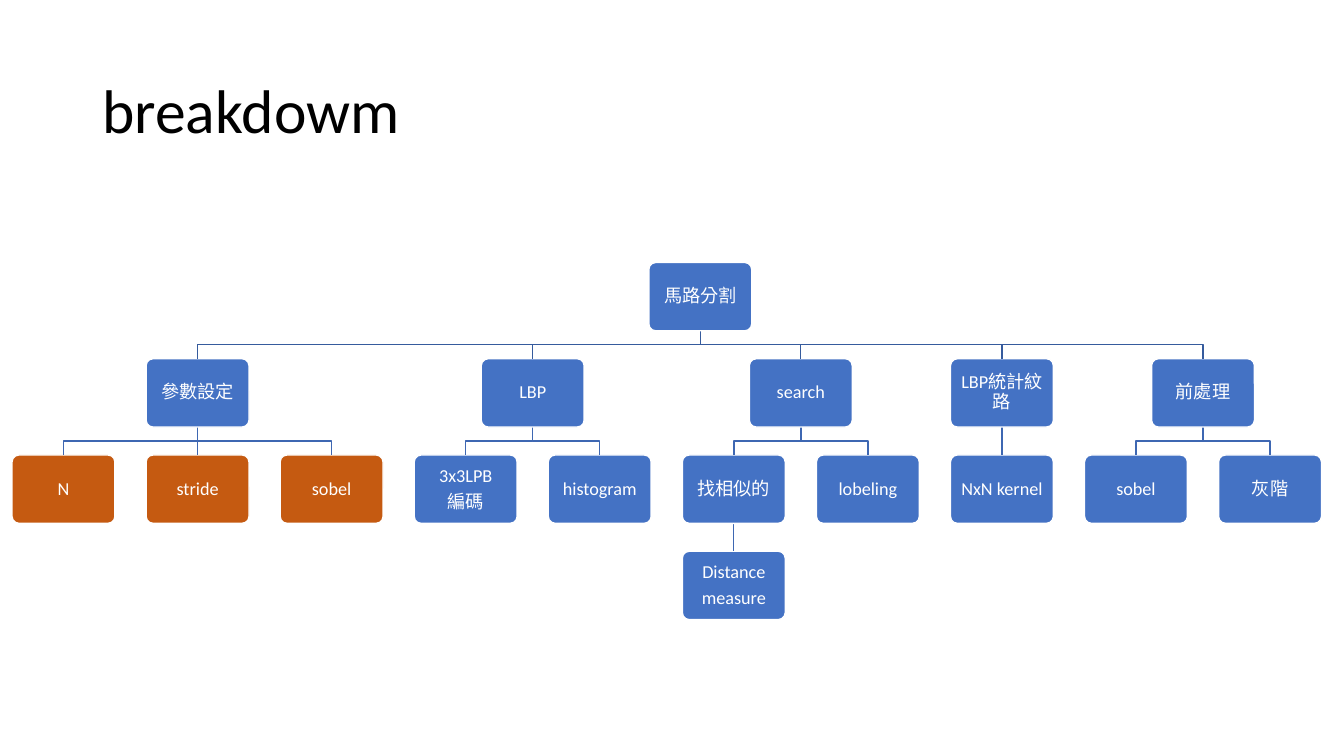
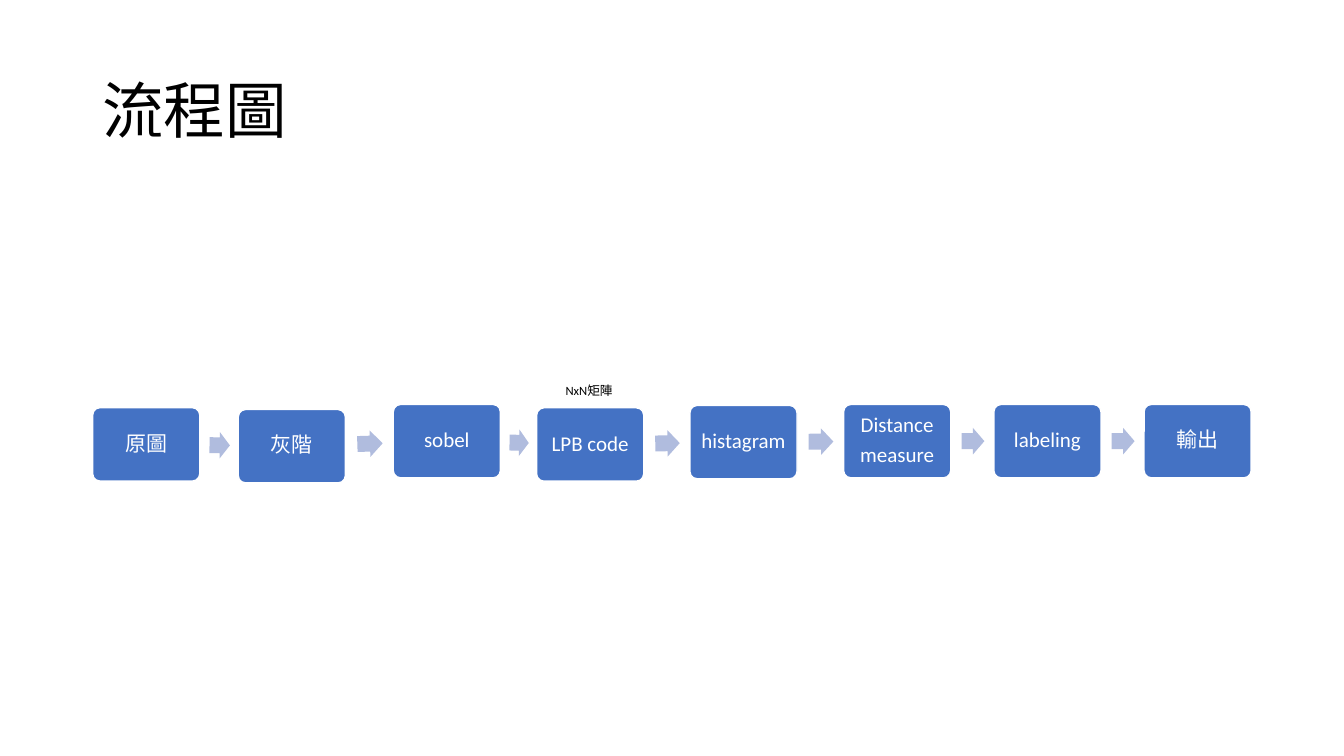
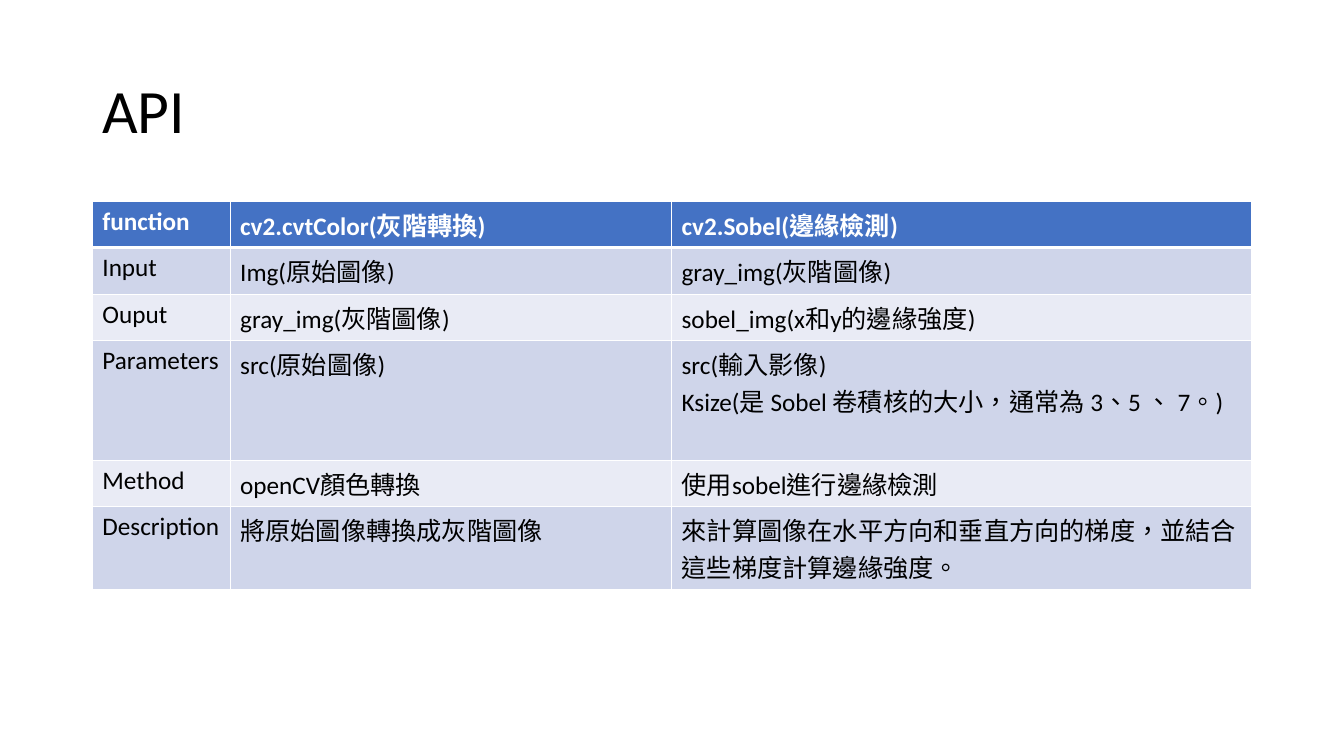
from dataclasses import dataclass
from math import atan2, degrees

from lxml.etree import SubElement
from pptx import Presentation
from pptx.dml.color import RGBColor
from pptx.enum.lang import MSO_LANGUAGE_ID as Language
from pptx.enum.shapes import MSO_CONNECTOR as Connector, MSO_SHAPE as Preset
from pptx.enum.text import MSO_ANCHOR as Anchor, PP_ALIGN as Align
from pptx.oxml import parse_xml
from pptx.oxml.ns import nsdecls, qn
from pptx.util import Pt

FONT = "Calibri"
COLORS = {
    "black": "000000",
    "white": "FFFFFF",
    "blue": "4472C4",
    "orange": "C55A11",
    "root_line": "365B9D",
    "branch_line": "3E67B2",
    "arrow": "B0BCDE",
    "band_dark": "CFD5EA",
    "band_light": "E9EBF5",
}
CONTENT_LEFT, CONTENT_WIDTH = 66, 828


@dataclass
class Node:
    text: str
    children: tuple = ()
    color: str = "blue"


TREE = Node("馬路分割", (
    Node("參數設定", (
        Node("N", color="orange"),
        Node("stride", color="orange"),
        Node("sobel", color="orange"),
    )),
    Node("LBP", (Node("3x3LPB\n編碼"), Node("histogram"))),
    Node("search", (
        Node("找相似的", (Node("Distance\nmeasure"),)),
        Node("lobeling"),
    )),
    Node("LBP統計紋路", (Node("NxN kernel"),)),
    Node("前處理", (Node("sobel"), Node("灰階"))),
))

# Text, left and top of each step
STEPS = [
    ("原圖", 66.2, 291.2),
    ("灰階", 170.2, 292.5),
    ("sobel", 280.9, 288.9),
    ("LPB code", 383.3, 291.3),
    ("histagram", 492.8, 289.6),
    ("Distance\nmeasure", 602.6, 288.9),
    ("labeling", 709.9, 288.9),
    ("輸出", 817.2, 288.9),
]

# Row height and cell texts
API_ROWS = [
    (32.9, ("function", "cv2.cvtColor(灰階轉換)", "cv2.Sobel(邊緣檢測)")),
    (33.2, ("Input", "Img(原始圖像)", "gray_img(灰階圖像)")),
    (33.2, ("Ouput", "gray_img(灰階圖像)", "sobel_img(x和y的邊緣強度)")),
    (85.4, ("Parameters", "src(原始圖像)",
            "src(輸入影像)\nKsize(是 Sobel 卷積核的大小，通常為 3、5 、 7。)")),
    (33.2, ("Method", "openCV顏色轉換", "使用sobel進行邊緣檢測")),
    (59.3, ("Description", "將原始圖像轉換成灰階圖像",
            "來計算圖像在水平方向和垂直方向的梯度，並結合這些梯度計算邊緣強度。")),
]


def rgb(name):
    return RGBColor.from_string(COLORS[name])


def write(frame, text, size, color="black", bold=False, align=None,
          line_spacing=None, space_after=None):
    frame.text = text
    for paragraph in frame.paragraphs:
        font = paragraph.font
        font.name, font.size, font.bold = FONT, Pt(size), bold
        font.color.rgb = rgb(color)
        for run in paragraph.runs:
            run.font.language_id = Language.TRADITIONAL_CHINESE
        paragraph.alignment = align
        paragraph.line_spacing = line_spacing
        if space_after is not None:
            paragraph.space_after = Pt(space_after)


def add_text(slide, box, text, size, anchor=Anchor.TOP, line_spacing=None):
    frame = slide.shapes.add_textbox(*map(Pt, box)).text_frame
    frame.word_wrap = True
    frame.vertical_anchor = anchor
    write(frame, text, size, line_spacing=line_spacing)


def add_titled_slide(presentation, title):
    slide = presentation.slides.add_slide(presentation.slide_layouts[6])
    add_text(slide, (CONTENT_LEFT, 28.8, CONTENT_WIDTH, 104.4), title, 44,
             Anchor.MIDDLE, 0.9)
    return slide


def add_rounded_box(slide, box, text, size, color="blue"):
    shape = slide.shapes.add_shape(Preset.ROUNDED_RECTANGLE, *map(Pt, box))
    shape.shadow.inherit = False
    shape.adjustments[0] = 0.1
    shape.fill.solid()
    shape.fill.fore_color.rgb = rgb(color)
    shape.line.color.rgb = rgb("white")
    shape.line.width = Pt(1)
    frame = shape.text_frame
    frame.word_wrap = True
    frame.vertical_anchor = Anchor.MIDDLE
    frame.margin_left = frame.margin_right = Pt(size * 0.28)
    frame.margin_top = frame.margin_bottom = Pt(size * 0.28)
    write(frame, text, size, "white", align=Align.CENTER, line_spacing=0.9,
          space_after=size * 0.35)


def add_branch(slide, start, end, color):
    """Join two points by a line that steps sideways halfway down."""
    (x1, y1), (x2, y2) = start, end
    if abs(x1 - x2) < 0.1:
        line = slide.shapes.add_connector(
            Connector.STRAIGHT, Pt(x1), Pt(y1), Pt(x1), Pt(y2))
        SubElement(line.element.spPr, qn("a:effectLst"))
    else:
        middle = (y1 + y2) / 2
        builder = slide.shapes.build_freeform(Pt(x1), Pt(y1))
        corners = [(x1, middle), (x2, middle), (x2, y2)]
        builder.add_line_segments([(Pt(x), Pt(y)) for x, y in corners], close=False)
        line = builder.convert_to_shape()
        line.shadow.inherit = False
        line.fill.background()
    line.line.color.rgb = rgb(color)
    line.line.width = Pt(1)


def add_tree(slide, root, left, top):
    """Place leaves at an equal pitch and each parent midway over its children."""
    width, height, leaf_pitch, level_pitch = 73.5, 48.8, 95.76, 68.76
    leaf_count = 0

    def place(node, level):
        nonlocal leaf_count
        y = top + level * level_pitch
        if node.children:
            centers = [place(child, level + 1) for child in node.children]
            center = (centers[0] + centers[-1]) / 2
        else:
            centers = []
            center = left + width / 2 + leaf_count * leaf_pitch
            leaf_count += 1
        line_color = "branch_line" if level else "root_line"
        for child_center in centers:
            add_branch(slide, (center, y + height),
                       (child_center, y + level_pitch), line_color)
        add_rounded_box(slide, (center - width / 2, y, width, height),
                        node.text, 13, node.color)
        return center

    place(root, 0)


def add_flow_arrow(slide, start, end, gap):
    """Centre an arrow between two box centres, turned along their direction."""
    (x1, y1), (x2, y2) = start, end
    width, height = gap * 0.53, 18.9
    arrow = slide.shapes.add_shape(
        Preset.RIGHT_ARROW, Pt((x1 + x2 - width) / 2 + 0.5),
        Pt((y1 + y2 - height) / 2), Pt(width), Pt(height))
    arrow.shadow.inherit = False
    arrow.adjustments[0], arrow.adjustments[1] = 0.6, 0.5
    arrow.rotation = degrees(atan2(y2 - y1, x2 - x1))
    arrow.fill.solid()
    arrow.fill.fore_color.rgb = rgb("arrow")
    arrow.line.fill.background()


def add_flow(slide, steps):
    width, height = 76.5, 52.4
    previous = None
    for text, left, top in steps:
        center = (left + width / 2, top + height / 2)
        if previous:
            add_flow_arrow(slide, previous, center, center[0] - previous[0] - width)
        add_rounded_box(slide, (left, top, width, height), text, 15)
        previous = center


def set_cell_borders(cell, top, bottom):
    properties = cell._tc.get_or_add_tcPr()
    widths = {"lnL": 1, "lnR": 1, "lnT": top, "lnB": bottom}
    for index, (tag, width) in enumerate(widths.items()):
        properties.insert(index, parse_xml(
            f'<a:{tag} {nsdecls("a")} w="{Pt(width)}"><a:solidFill>'
            f'<a:srgbClr val="{COLORS["white"]}"/></a:solidFill></a:{tag}>'))


def add_api_table(slide, rows, left, top):
    column_widths = (98.4, 315.3, 414.3)
    table = slide.shapes.add_table(
        len(rows), len(column_widths), Pt(left), Pt(top),
        Pt(sum(column_widths)), Pt(sum(height for height, _ in rows))).table
    table.first_row = table.horz_banding = False
    for column, width in zip(table.columns, column_widths):
        column.width = Pt(width)
    for row_index, (height, texts) in enumerate(rows):
        table.rows[row_index].height = Pt(height)
        header = row_index == 0
        band = "band_dark" if row_index % 2 else "band_light"
        for column_index, text in enumerate(texts):
            cell = table.cell(row_index, column_index)
            cell.fill.solid()
            cell.fill.fore_color.rgb = rgb("blue" if header else band)
            set_cell_borders(cell, 3 if row_index == 1 else 1, 3 if header else 1)
            write(cell.text_frame, text, 18, "white" if header else "black", header)


def main():
    presentation = Presentation()
    presentation.slide_width, presentation.slide_height = Pt(960), Pt(540)

    add_tree(add_titled_slide(presentation, "breakdowm"), TREE, 8.6, 187.5)

    flow_slide = add_titled_slide(presentation, "流程圖")
    add_flow(flow_slide, STEPS)
    add_text(flow_slide, (396.9, 270, 146.9, 18), "NxN矩陣", 9)

    add_api_table(add_titled_slide(presentation, "API"), API_ROWS, CONTENT_LEFT, 144)

    presentation.save("out.pptx")


if __name__ == "__main__":
    main()
